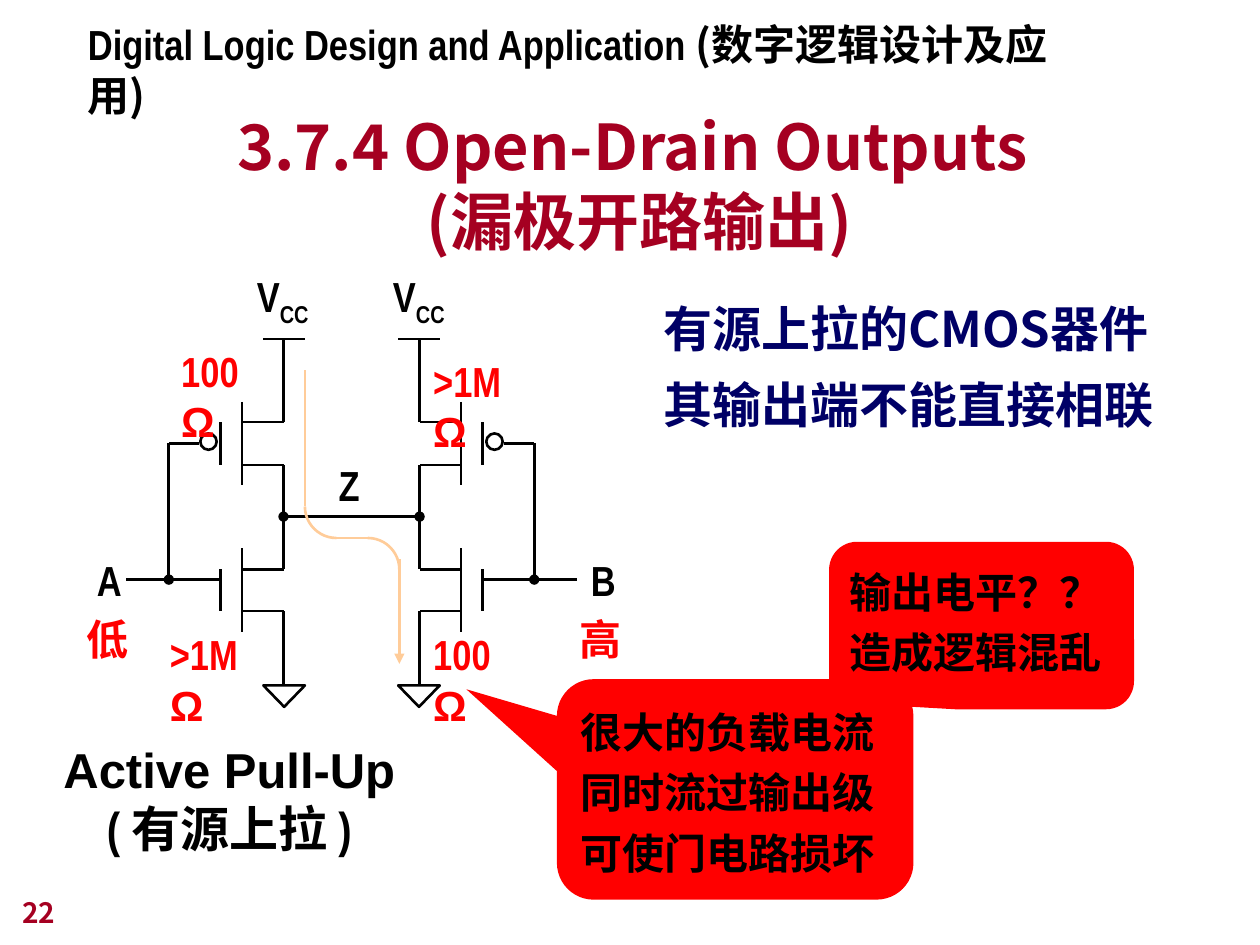
"""Build the slide on open-drain outputs with its CMOS circuit."""
from lxml import etree
from pptx import Presentation
from pptx.dml.color import RGBColor
from pptx.enum.shapes import MSO_CONNECTOR, MSO_SHAPE
from pptx.enum.text import MSO_ANCHOR, PP_ALIGN
from pptx.oxml.ns import qn
from pptx.util import Pt

PX = 9144
LEFT, CENTER = PP_ALIGN.LEFT, PP_ALIGN.CENTER
TOP, BOTTOM = MSO_ANCHOR.TOP, MSO_ANCHOR.BOTTOM
STRAIGHT = MSO_CONNECTOR.STRAIGHT
CALLOUT = MSO_SHAPE.ROUNDED_RECTANGULAR_CALLOUT
OVAL, TRIANGLE, ARC = MSO_SHAPE.OVAL, MSO_SHAPE.ISOSCELES_TRIANGLE, MSO_SHAPE.ARC
NARROW, ARIAL, TIMES, SANS = "Arial Narrow", "Arial", "Times New Roman", "Noto Sans CJK JP"
BLACK, RED, CRIMSON, NAVY, PEACH = "000000", "FF0000", "A50021", "000066", "FFCC99"

CALLOUTS = [
    ((658, 430, 242, 133), (-0.333, 0.474, 0.167), ["输出电平？？", "造成逻辑混乱"]),
    ((442, 539, 283, 175), (-0.754, -0.454, 0.167),
     ["很大的负载电流", "同时流过输出级", "可使门电路损坏"]),
]

MIRROR_SUM = 558
HALF_WIRES = [
    (175, 335, 175, 369), (192, 319, 192, 385), (192, 335, 225, 335),
    (192, 369, 225, 369), (225, 335, 225, 269), (209, 269, 242, 269),
    (225, 369, 225, 452), (225, 544, 225, 485), (175, 452, 175, 485),
    (192, 435, 192, 502), (192, 452, 225, 452), (192, 485, 225, 485),
    (158, 352, 134, 352), (175, 460, 100, 460),
]
HALF_DOTTED_WIRES = [(279, 410, 225, 410), (134, 352, 134, 460)]
BUBBLE = (159, 344, 13, 13)
GROUND = (209, 544, 33, 17)

CURRENT_LINES = [((242, 294, 242, 402), None), ((267, 427, 292, 427), None),
                 ((317, 444, 317, 527), "triangle")]
CURRENT_ARCS = [((267, 427, 50, 50), (162, 0)), ((242, 377, 50, 50), (54, 108))]

NAMES = [("A", (67, 435, 39, 50), BLACK), ("B", (459, 435, 39, 50), BLACK),
         ("Z", (259, 360, 36, 50), BLACK),
         ("低", (59, 482, 53, 50), RED), ("高", (450, 482, 53, 50), RED)]
SUPPLIES = [(194, 210, 61, 56), (302, 210, 61, 56)]
RESISTANCES = [("100", 334, 494), (">1M", 334, 277), ("100", 134, 269), (">1M", 125, 494)]


def rgb(color):
    return RGBColor.from_string(color)


def emu(box):
    return [value * PX for value in box]


def set_font(run, size, name, color):
    run.font.size, run.font.name, run.font.bold = Pt(size), name, True
    run.font.color.rgb = rgb(color)
    east_asian = etree.Element(qn("a:ea"), typeface=SANS)
    run.font._element.find(qn("a:latin")).addnext(east_asian)


def write(shape, paragraphs, size, color, align=LEFT, anchor=TOP, spacing=None, wrap=False):
    """Fill a shape with paragraphs, each a list of (text, font) runs."""
    frame = shape.text_frame
    frame.word_wrap, frame.vertical_anchor = wrap, anchor
    for index, runs in enumerate(paragraphs):
        paragraph = frame.add_paragraph() if index else frame.paragraphs[0]
        paragraph.alignment = align
        if spacing:
            paragraph.line_spacing = spacing
        for text, font in runs:
            if "\v" in text:
                paragraph.text = text
            else:
                paragraph.add_run().text = text
            for run in paragraph.runs if "\v" in text else paragraph.runs[-1:]:
                set_font(run, size, font, color)
    return frame


def add_text(slide, box, *arguments, **options):
    return write(slide.shapes.add_textbox(*emu(box)), *arguments, **options)


def add_wire(slide, points, color=BLACK, end=None):
    wire = slide.shapes.add_connector(STRAIGHT, *emu(points))
    wire.line.color.rgb, wire.line.width = rgb(color), Pt(1.5)
    properties = wire._element.spPr
    if end:
        etree.SubElement(properties.find(qn("a:ln")), qn("a:tailEnd"), type=end)
    etree.SubElement(properties, qn("a:effectLst"))


def add_outline(slide, kind, box, color=BLACK):
    shape = slide.shapes.add_shape(kind, *emu(box))
    shape.shadow.inherit = False
    shape.fill.background()
    shape.line.color.rgb, shape.line.width = rgb(color), Pt(1.5)
    return shape


def add_callout(slide, box, adjustments, lines):
    shape = slide.shapes.add_shape(CALLOUT, *emu(box))
    shape.shadow.inherit = False
    shape.fill.solid()
    shape.fill.fore_color.rgb = rgb(RED)
    shape.line.fill.background()
    for index, value in enumerate(adjustments):
        shape.adjustments[index] = value
    write(shape, [[(line, TIMES)] for line in lines], 24, BLACK, spacing=1.2, wrap=True)


def add_half_circuit(slide, mirrored):
    def across(x):
        return MIRROR_SUM - x if mirrored else x

    for wires, end in ((HALF_WIRES, None), (HALF_DOTTED_WIRES, "oval")):
        for x1, y1, x2, y2 in wires:
            add_wire(slide, (across(x1), y1, across(x2), y2), end=end)
    for kind, (x, y, width, height), turn in ((OVAL, BUBBLE, 0), (TRIANGLE, GROUND, 180)):
        left = min(across(x), across(x + width))
        add_outline(slide, kind, (left, y, width, height)).rotation = turn


def add_current_path(slide):
    for points, end in CURRENT_LINES:
        add_wire(slide, points, PEACH, end)
    for box, angles in CURRENT_ARCS:
        arc = add_outline(slide, ARC, box, PEACH)
        arc.adjustments[0], arc.adjustments[1] = angles


def main():
    presentation = Presentation()
    presentation.slide_width, presentation.slide_height = emu((1000, 750))
    slide = presentation.slides.add_slide(presentation.slide_layouts[6])
    for callout in CALLOUTS:
        add_callout(slide, *callout)
    add_text(slide, (43, 68, 929, 142), [[("3.7.4 Open-Drain Outputs \v(漏极开路输出)", SANS)]],
             36, CRIMSON, align=CENTER, anchor=BOTTOM, wrap=True)
    for mirrored in (False, True):
        add_half_circuit(slide, mirrored)
    for box in SUPPLIES:
        frame = add_text(slide, box, [[("V", NARROW), ("CC", NARROW)]], 24, BLACK)
        frame.paragraphs[0].runs[1].font._element.set("baseline", "-25000")
    for text, box, color in NAMES:
        add_text(slide, box, [[(text, NARROW)]], 24, color)
    add_text(slide, (35, 582, 294, 104), [[("Active Pull-Up", ARIAL)], [("( 有源上拉 )", NARROW)]],
             28, BLACK, align=CENTER)
    add_current_path(slide)
    add_text(slide, (517, 218, 424, 132),
             [[("有源上拉的CMOS器件", SANS)], [("其输出端不能直接相联", SANS)]], 28, NAVY, spacing=1.3)
    for value, left, top in RESISTANCES:
        add_text(slide, (left, top, 80, 50), [[(value, NARROW), ("Ω", ARIAL)]], 24, RED, wrap=True)
    add_text(slide, (60, 10, 820, 50),
             [[("Digital Logic Design and Application ", NARROW), ("(数字逻辑设计及应用)", SANS)]],
             24, BLACK, wrap=True)
    add_text(slide, (8, 692, 208, 50), [[("22", SANS)]], 16, CRIMSON, anchor=BOTTOM, wrap=True)
    presentation.save("out.pptx")


if __name__ == "__main__":
    main()
